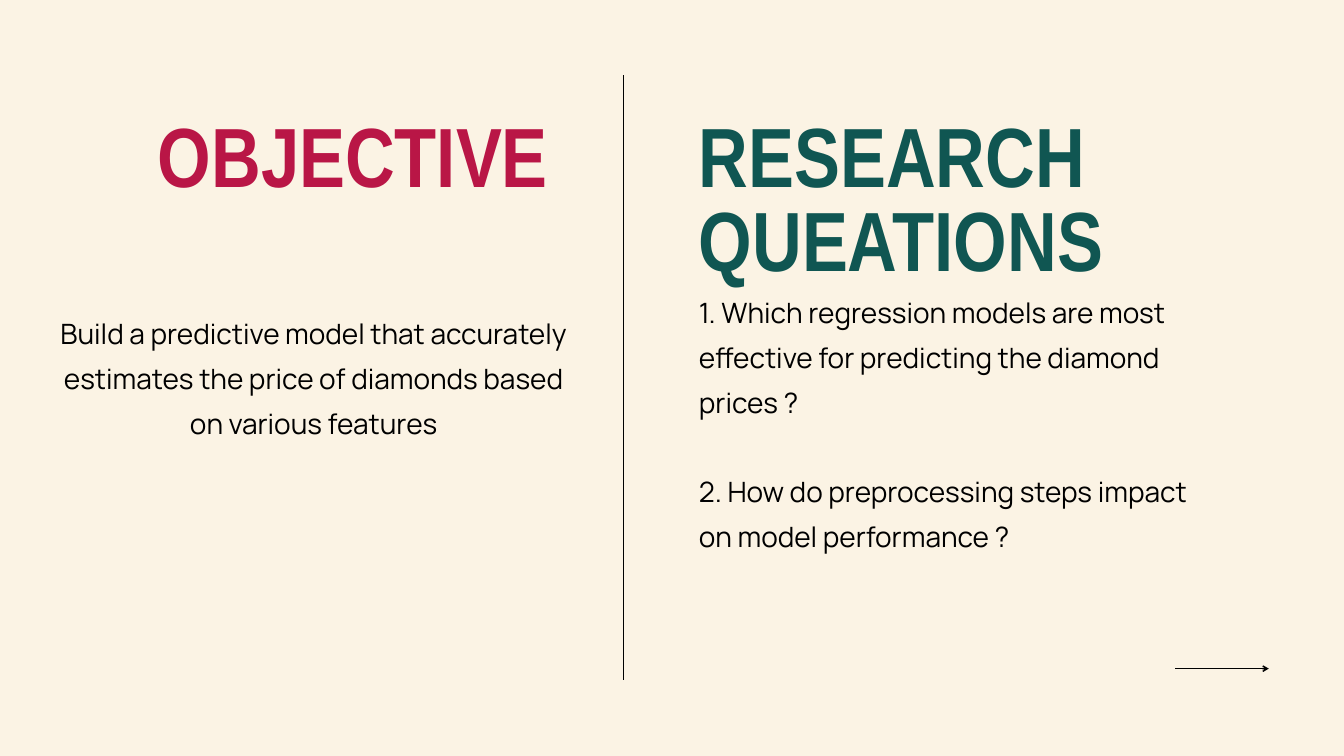
"""Build a slide that sets the objective beside the research questions."""
from pptx import Presentation
from pptx.dml.color import RGBColor
from pptx.enum.shapes import MSO_CONNECTOR
from pptx.enum.text import MSO_ANCHOR, MSO_AUTO_SIZE, PP_ALIGN
from pptx.oxml.ns import qn
from pptx.util import Pt
from lxml.etree import SubElement

CREAM = RGBColor(0xFB, 0xF3, 0xE4)
RED = RGBColor(0xB9, 0x16, 0x46)
GREEN = RGBColor(0x10, 0x56, 0x52)
BLACK = RGBColor(0, 0, 0)

HEAD = {"font": "Arial Narrow", "size": 90, "bold": True, "lead": 90, "gap": 0}
BODY = {"font": "Manrope", "size": 30, "bold": False, "lead": 48, "gap": 48}

TEXTS = [
    (0, (169.2, 128.9, 473.8, 95.8), HEAD, RED, PP_ALIGN.LEFT, ["OBJECTIVE"]),
    (1, (748.8, 128.9, 609.8, 95.8), HEAD, GREEN, PP_ALIGN.LEFT,
     ["RESEARCH QUEATIONS"]),
    (2, (54.7, 327.6, 563, 143.3), BODY, BLACK, PP_ALIGN.CENTER,
     ["Build a predictive model that accurately estimates the price of "
      "diamonds based on various features"]),
    (4, (748.8, 304.6, 551.5, 282.2), BODY, BLACK, PP_ALIGN.LEFT,
     ["1. Which regression models are most effective for predicting the "
      "diamond prices ?",
      "2. How do preprocessing steps impact on model performance ?"]),
]
RULE = (668.2, 80.6, 668.2, 728.6)
ARROW = (1259.3, 716.4, 1359.4, 716.4)


def fill_text(shape, box, style, color, align, lines):
    shape.left, shape.top, shape.width, shape.height = map(Pt, box)
    frame = shape.text_frame
    frame.text = "\n".join(lines)
    frame.word_wrap = True
    frame.auto_size = MSO_AUTO_SIZE.NONE
    frame.vertical_anchor = MSO_ANCHOR.TOP
    frame.margin_left = frame.margin_right = 0
    frame.margin_top = frame.margin_bottom = 0
    for i, para in enumerate(frame.paragraphs):
        para.alignment = align
        para.line_spacing = Pt(style["lead"])
        para.space_before = Pt(style["gap"] if i else 0)
        para.space_after = Pt(0)
        font = para.font
        font.name, font.size = style["font"], Pt(style["size"])
        font.bold = style["bold"]
        font.color.rgb = color
        props = para._p.get_or_add_pPr()
        props.set("marL", "0")
        props.set("indent", "0")
        props.find(qn("a:defRPr")).addprevious(
            SubElement(props, qn("a:buNone")))


def draw_line(slide, ends, head=False):
    line = slide.shapes.add_connector(MSO_CONNECTOR.STRAIGHT, *map(Pt, ends))
    line.line.color.rgb = BLACK
    line.line.width = Pt(1.5)
    props = line._element.spPr
    if head:
        SubElement(props.find(qn("a:ln")), qn("a:tailEnd"), type="arrow")
    SubElement(props, qn("a:effectLst"))


def main():
    deck = Presentation()
    deck.slide_width, deck.slide_height = Pt(1440), Pt(810)
    slide = deck.slides.add_slide(deck.slide_layouts.get_by_name("Comparison"))
    slide.background.fill.solid()
    slide.background.fill.fore_color.rgb = CREAM

    holders = {h.placeholder_format.idx: h for h in slide.placeholders}
    for idx, *rest in TEXTS:
        fill_text(holders.pop(idx), *rest)
    for spare in holders.values():
        spare.element.getparent().remove(spare.element)

    draw_line(slide, RULE)
    draw_line(slide, ARROW, head=True)
    deck.save("out.pptx")


if __name__ == "__main__":
    main()
